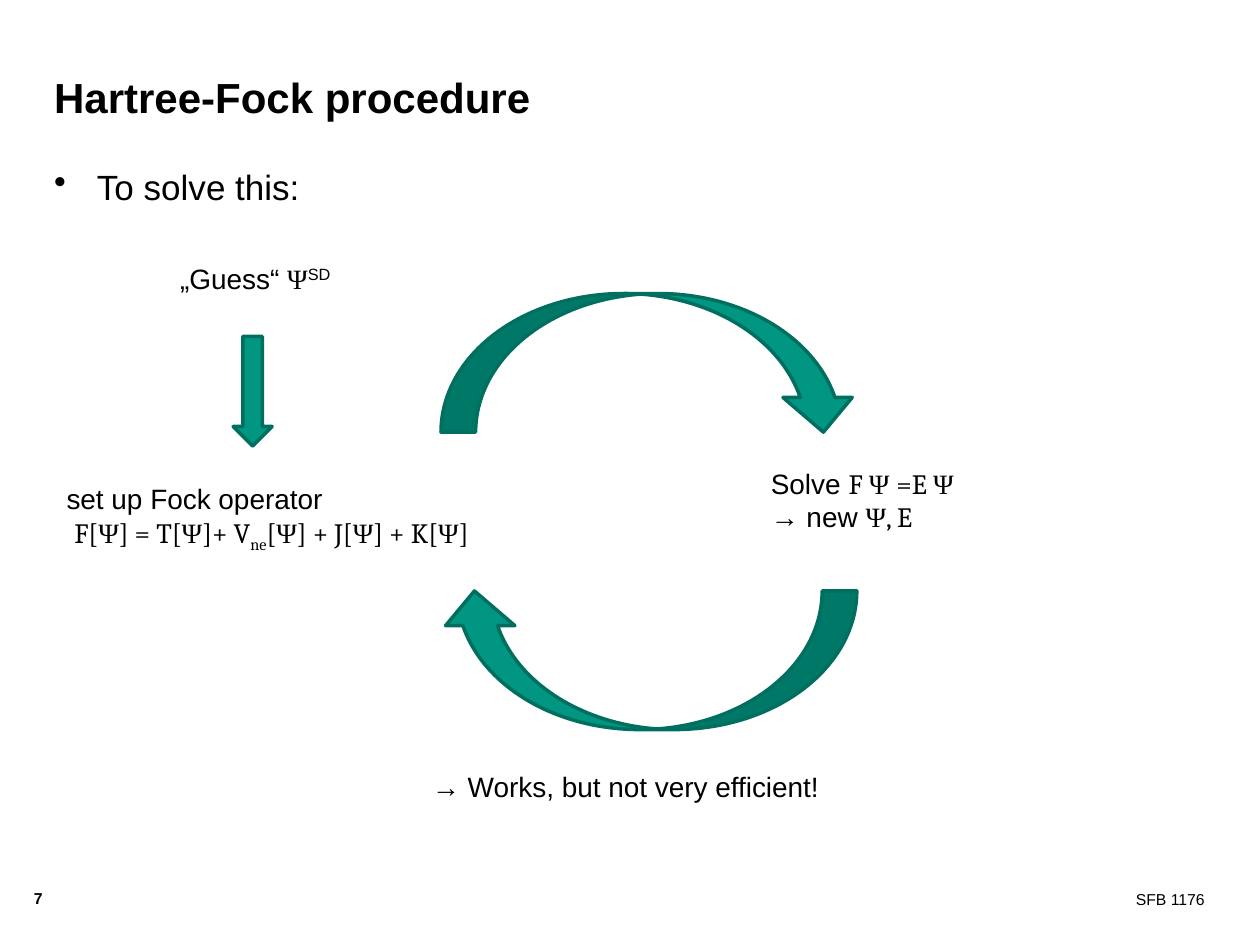
from pptx import Presentation
from pptx.util import Inches, Pt
from pptx.dml.color import RGBColor
from pptx.enum.shapes import MSO_SHAPE as Kind
from pptx.enum.text import MSO_ANCHOR as Anchor, PP_ALIGN as Align
from lxml.etree import SubElement

NS = "{http://schemas.openxmlformats.org/drawingml/2006/main}"
ARIAL, MATH, GREEK = "Arial", "Cambria", "Times New Roman"
PSI = ("Ψ", GREEK)

TITLE = [[("Hartree-Fock procedure", ARIAL)]]
BODY = [
    [("To solve this:", ARIAL)],
    [("„Guess“ ", ARIAL), PSI, ("SD", ARIAL, 30)],
    [("→ Works, but not very efficient!", ARIAL)],
]
LAYOUT = [(20, 0.34, 0), (16, 1, 31), (16, 3, 271)]
FOCK = [
    [("set up Fock operator", ARIAL)],
    [(" ", ARIAL), ("F[", MATH), PSI, ("] = T[", MATH), PSI, ("]+ V", MATH),
     ("ne", MATH, -25), ("[", MATH), PSI, ("] + J[", MATH), PSI,
     ("] + K[", MATH), PSI, ("]", MATH)],
]
SOLVE = [
    [("Solve ", ARIAL), ("F ", MATH), ("Ψ ", GREEK), ("=E ", MATH), PSI],
    [("→ new ", ARIAL), PSI, (", E", MATH)],
]
ARROWS = [
    (Kind.DOWN_ARROW, (1.85, 2.67, 0.31, 0.87), 0),
    (Kind.CURVED_DOWN_ARROW, (3.5, 2.33, 3.31, 1.1), 0),
    (Kind.CURVED_DOWN_ARROW, (3.49, 4.69, 3.31, 1.1), 180),
]


def color(code):
    return RGBColor.from_string(code)


def add_text(slide, box, rows, size, bold=False, inset=False, align=Align.LEFT):
    frame = slide.shapes.add_textbox(*map(Inches, box)).text_frame
    frame.word_wrap = True
    if not inset:
        frame.margin_left = frame.margin_right = 0
        frame.margin_top = frame.margin_bottom = 0
    for i, row in enumerate(rows):
        para = frame.add_paragraph() if i else frame.paragraphs[0]
        para.alignment = align
        para.font.size = Pt(size)
        para.font.bold = bold
        para.font.color.rgb = color("000000")
        for text, font, *base in row:
            run = para.add_run()
            run.text = text
            run.font.name = font
            if base:
                run.font._element.set("baseline", str(base[0] * 1000))
    return frame


def add_body(slide):
    frame = add_text(slide, (0.43, 1.31, 9.14, 5.35), BODY, 16)
    for para, (size, left, gap) in zip(frame.paragraphs, LAYOUT):
        para.font.size = Pt(size)
        para.space_before = Pt(gap)
        para._p.get_or_add_pPr().set("marL", str(Inches(left)))
    props = frame.paragraphs[0]._p.pPr
    props.set("indent", str(-Inches(0.34)))
    bullet = SubElement(props, NS + "buChar", char="•")
    props.find(NS + "defRPr").addprevious(bullet)


def add_arrow(slide, kind, box, turn):
    shape = slide.shapes.add_shape(kind, *map(Inches, box))
    shape.rotation = turn
    shape.shadow.inherit = False
    shape.fill.solid()
    shape.fill.fore_color.rgb = color("009682")
    shape.line.color.rgb = color("006F60")
    shape.line.width = Pt(2)


def main():
    deck = Presentation()
    deck.slide_width, deck.slide_height = Inches(10), Inches(7.5)
    slide = deck.slides.add_slide(deck.slide_layouts[6])
    add_text(slide, (6.57, 7.06, 2.99, 0.39), [[("SFB 1176", ARIAL)]], 9,
             align=Align.RIGHT)
    add_text(slide, (0.27, 7.05, 0.36, 0.24), [[("7", ARIAL)]], 9, bold=True)
    title = add_text(slide, (0.43, 0.36, 7.56, 0.61), TITLE, 24, bold=True)
    title.vertical_anchor = Anchor.BOTTOM
    add_body(slide)
    fock = add_text(slide, (0.43, 3.51, 3.94, 0.94), FOCK, 16, inset=True)
    fock.paragraphs[0].line_spacing = 2.0
    add_text(slide, (6.02, 3.65, 2.84, 0.94), SOLVE, 16, inset=True)
    for arrow in ARROWS:
        add_arrow(slide, *arrow)
    deck.save("out.pptx")


if __name__ == "__main__":
    main()
